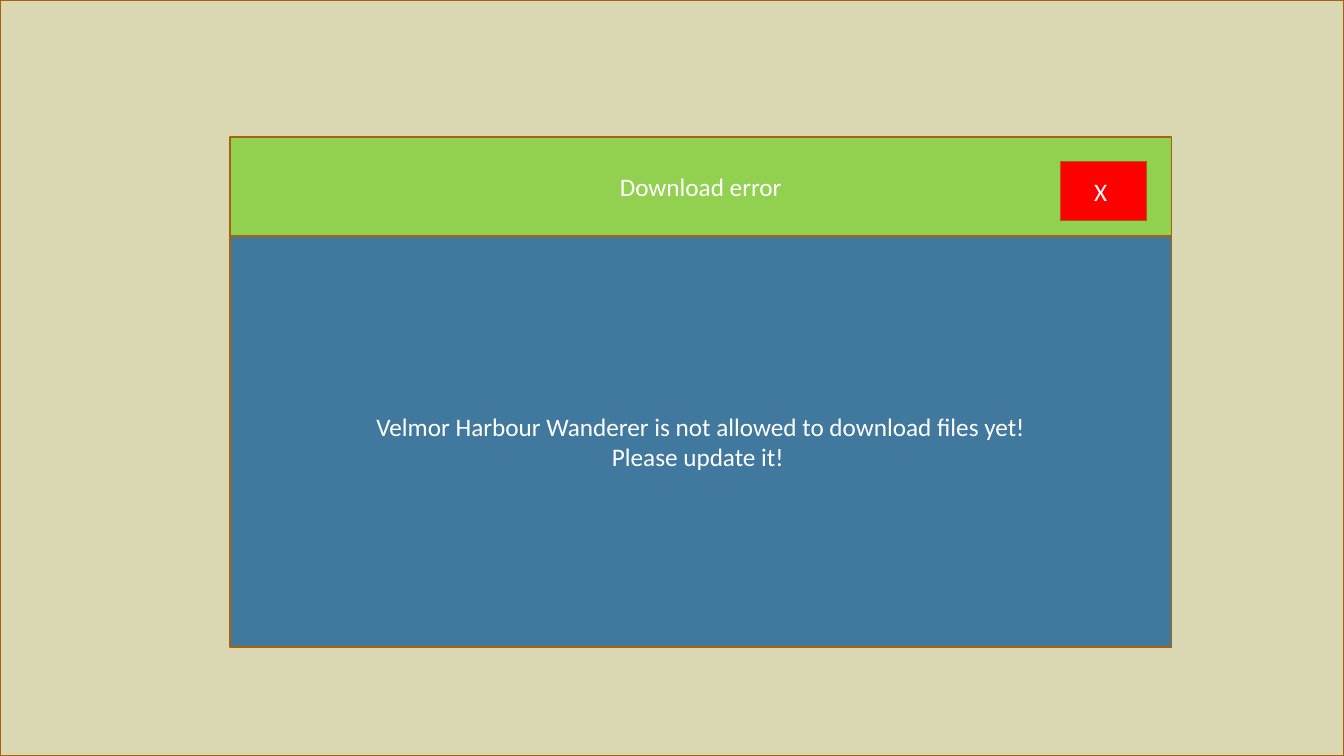
from dataclasses import dataclass

from pptx import Presentation
from pptx.dml.color import RGBColor
from pptx.enum.shapes import MSO_SHAPE
from pptx.enum.text import MSO_ANCHOR, PP_ALIGN
from pptx.slide import Slide
from pptx.text.text import TextFrame
from pptx.util import Inches, Pt

RECT = MSO_SHAPE.RECTANGLE
MIDDLE = MSO_ANCHOR.MIDDLE
CENTER = PP_ALIGN.CENTER

COLORS = {
    "desktop": "DAD7B3",
    "body": "40789E",
    "title": "92D050",
    "close": "FF0000",
    "border": "A9610D",
    "text": "FFFFFF",
}

SLIDE_W, SLIDE_H = 13.33, 7.5
DIALOG_X, DIALOG_Y, DIALOG_W = 2.28, 1.36, 9.34
TITLE_H, BODY_H = 0.98, 4.08


@dataclass(frozen=True)
class Panel:
    left: float
    top: float
    width: float
    height: float
    fill: str
    lines: tuple[str, ...] = ()


# Back to front; the trailing spaces shift the centred text slightly left
PANELS = (
    Panel(0, 0, SLIDE_W, SLIDE_H, "desktop"),
    Panel(DIALOG_X, DIALOG_Y + TITLE_H, DIALOG_W, BODY_H, "body",
          ("Velmor Harbour Wanderer is not allowed to download files yet!",
           "Please update it! ")),
    Panel(DIALOG_X, DIALOG_Y, DIALOG_W, TITLE_H, "title", ("Download error",)),
    Panel(10.52, 1.6, 0.85, 0.59, "close", ("X ",)),
)


def rgb(name: str) -> RGBColor:
    return RGBColor.from_string(COLORS[name])


def write_text(tf: TextFrame, lines: tuple[str, ...], *, size: float = 18,
               font: str = "Calibri", color: str = "text",
               align: PP_ALIGN = CENTER) -> None:
    tf.word_wrap = True
    tf.vertical_anchor = MIDDLE
    for i, line in enumerate(lines):
        p = tf.add_paragraph() if i else tf.paragraphs[0]
        p.alignment = align
        r = p.add_run()
        r.text = line
        r.font.size = Pt(size)
        r.font.name = font
        r.font.color.rgb = rgb(color)


def draw_panel(s: Slide, panel: Panel) -> None:
    sp = s.shapes.add_shape(RECT, Inches(panel.left), Inches(panel.top),
                            Inches(panel.width), Inches(panel.height))
    sp.shadow.inherit = False
    sp.fill.solid()
    sp.fill.fore_color.rgb = rgb(panel.fill)
    sp.line.color.rgb = rgb("border")
    sp.line.width = Pt(1)
    if panel.lines:
        write_text(sp.text_frame, panel.lines)


def main() -> None:
    prs = Presentation()
    prs.slide_width = Inches(SLIDE_W)
    prs.slide_height = Inches(SLIDE_H)
    s = prs.slides.add_slide(prs.slide_layouts[6])
    for panel in PANELS:
        draw_panel(s, panel)
    prs.save("out.pptx")


if __name__ == "__main__":
    main()
